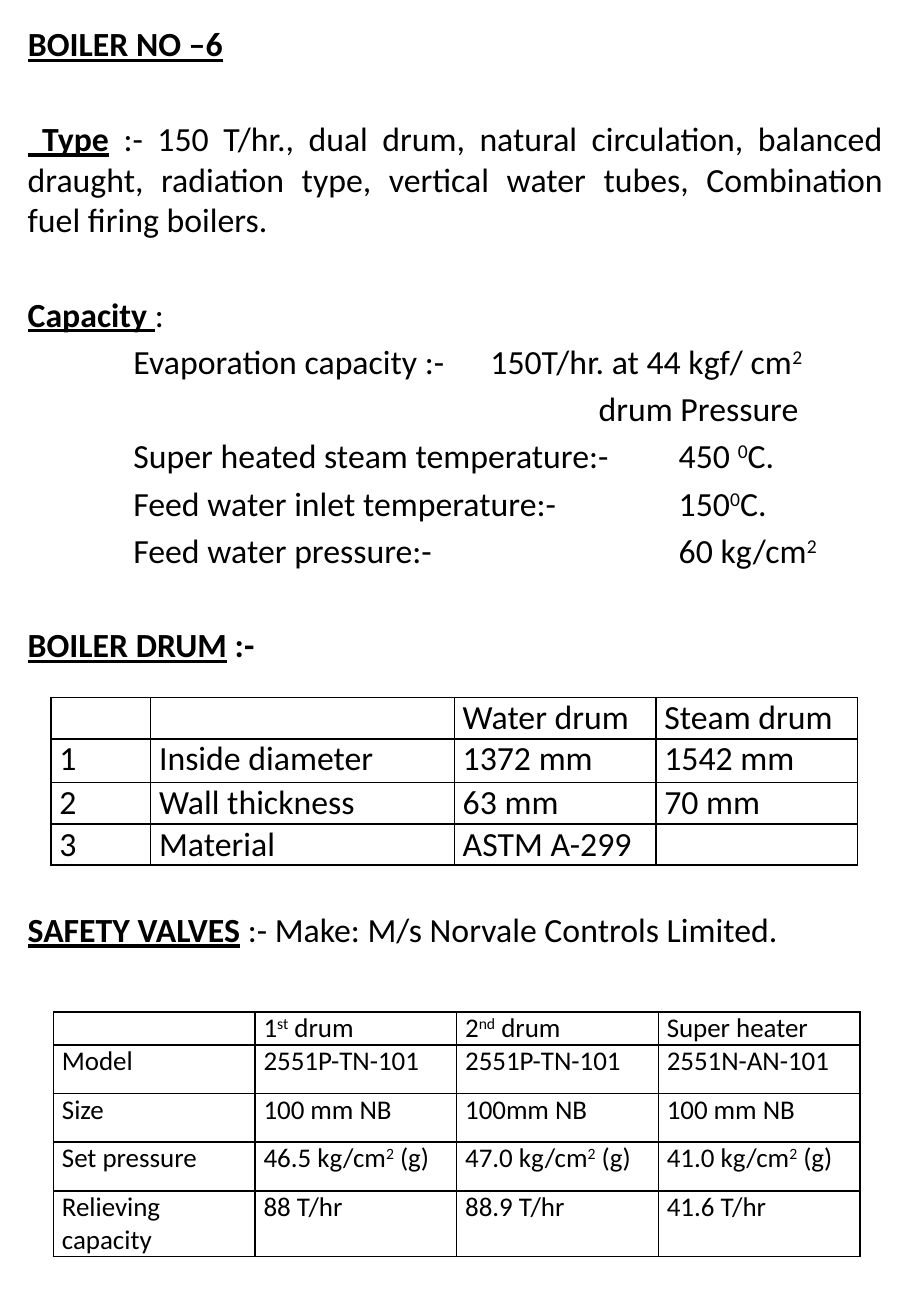
from lxml import etree
from pptx import Presentation
from pptx.dml.color import RGBColor
from pptx.enum.text import MSO_ANCHOR as Anchor, MSO_AUTO_SIZE as AutoSize, PP_ALIGN as Align
from pptx.oxml.ns import qn
from pptx.util import Inches, Pt

FONT = "Calibri"
BLACK = "000000"
BODY_SIZE = 20
LINE_GAP = 4
SECTION_GAP = 32
TEXT_LEFT, TEXT_WIDTH = 0.13, 7.24
LABEL_TAB = 0.87
VALUE_TAB = 5.36

CAPACITY_LINES = [
    ("\tEvaporation capacity :-\t150T/hr. at 44 kgf/ cm^2^", [LABEL_TAB, 3.81]),
    ("\tdrum Pressure", [4.7]),
    ("\tSuper heated steam temperature:-\t450 ^0^C.", [LABEL_TAB, VALUE_TAB]),
    ("\tFeed water inlet temperature:-\t150^0^C.", [LABEL_TAB, VALUE_TAB]),
    ("\tFeed water pressure:-\t60 kg/cm^2^", [LABEL_TAB, VALUE_TAB]),
]

DRUM_ROWS = [
    ["", "", "Water drum", "Steam drum"],
    ["1", "Inside diameter", "1372 mm", "1542 mm"],
    ["2", "Wall thickness", "63 mm", "70 mm"],
    ["3", "Material", "ASTM A-299", ""],
]

VALVE_ROWS = [
    ["", "1^st^ drum", "2^nd^ drum", "Super heater"],
    ["Model", "2551P-TN-101", "2551P-TN-101", "2551N-AN-101"],
    ["Size", "100 mm NB", "100mm NB", "100 mm NB"],
    ["Set pressure", "46.5 kg/cm^2^ (g)", "47.0 kg/cm^2^ (g)", "41.0 kg/cm^2^ (g)"],
    ["Relieving capacity", "88 T/hr", "88.9 T/hr", "41.6 T/hr"],
]


def rgb(value):
    return RGBColor.from_string(value)


def format_font(font, size, bold=False, underline=False):
    font.name = FONT
    font.size = Pt(size)
    font.color.rgb = rgb(BLACK)
    font.bold = bold
    font.underline = underline


def write_text(paragraph, text, size, bold=False):
    """Add runs to the paragraph; parts between ^ marks are superscript."""
    for number, part in enumerate(text.split("^")):
        if part:
            run = paragraph.add_run()
            run.text = part
            format_font(run.font, size, bold)
            if number % 2:
                run.font._element.set("baseline", "30000")


def set_tabs(paragraph, positions):
    tab_list = etree.SubElement(paragraph._p.get_or_add_pPr(), qn("a:tabLst"))
    for position in positions:
        etree.SubElement(tab_list, qn("a:tab"), pos=str(Inches(position)), algn="l")


def add_line(text_frame, text, heading="", gap=LINE_GAP, tabs=(), bold=False):
    """Add one justified paragraph, opened by an underlined heading if given."""
    paragraph = text_frame.paragraphs[0]
    if paragraph.runs:
        paragraph = text_frame.add_paragraph()
        paragraph.space_before = Pt(gap)
    paragraph.alignment = Align.JUSTIFY
    if tabs:
        set_tabs(paragraph, tabs)
    if heading:
        run = paragraph.add_run()
        run.text = heading
        format_font(run.font, BODY_SIZE, bold=True, underline=True)
    write_text(paragraph, text, BODY_SIZE, bold)


def add_text_box(slide, top, height):
    box = slide.shapes.add_textbox(
        Inches(TEXT_LEFT), Inches(top), Inches(TEXT_WIDTH), Inches(height))
    box.text_frame.word_wrap = True
    return box.text_frame


def set_title(slide, text):
    title = slide.shapes.title
    title.left, title.top = Inches(TEXT_LEFT), Inches(0.14)
    title.width, title.height = Inches(TEXT_WIDTH), Inches(0.44)
    text_frame = title.text_frame
    text_frame.text = text
    text_frame.word_wrap = True
    text_frame.auto_size = AutoSize.NONE
    text_frame.vertical_anchor = Anchor.TOP
    paragraph = text_frame.paragraphs[0]
    paragraph.alignment = Align.JUSTIFY
    format_font(paragraph.runs[0].font, BODY_SIZE, bold=True, underline=True)


def set_borders(cell):
    properties = cell._tc.get_or_add_tcPr()
    for index, side in enumerate(("lnL", "lnR", "lnT", "lnB")):
        line = etree.Element(qn(f"a:{side}"), w=str(Pt(1)))
        fill = etree.SubElement(line, qn("a:solidFill"))
        etree.SubElement(fill, qn("a:srgbClr"), val=BLACK)
        properties.insert(index, line)


def fill_cell(cell, text, size):
    cell.fill.background()
    set_borders(cell)
    cell.margin_left = cell.margin_right = Inches(0.07)
    cell.margin_top = cell.margin_bottom = 0
    cell.vertical_anchor = Anchor.TOP
    paragraph = cell.text_frame.paragraphs[0]
    paragraph.font.size = Pt(size)
    write_text(paragraph, text, size)


def add_grid(slide, left, top, widths, heights, rows, size):
    table = slide.shapes.add_table(
        len(rows), len(widths), Inches(left), Inches(top),
        Inches(sum(widths)), Inches(sum(heights))).table
    table.first_row = table.horz_banding = False
    for column, width in zip(table.columns, widths):
        column.width = Inches(width)
    for row, height, texts in zip(table.rows, heights, rows):
        row.height = Inches(height)
        for cell, text in zip(row.cells, texts):
            fill_cell(cell, text, size)


def main():
    presentation = Presentation()
    presentation.slide_width = Inches(7.5)
    presentation.slide_height = Inches(10.83)
    slide = presentation.slides.add_slide(presentation.slide_layouts[5])

    set_title(slide, "BOILER NO –6")

    details = add_text_box(slide, 0.92, 4.7)
    add_line(details, " :- 150 T/hr., dual drum, natural circulation, balanced draught, "
             "radiation type, vertical water tubes, Combination fuel firing boilers.",
             heading=" Type")
    add_line(details, ":", heading="Capacity ", gap=SECTION_GAP)
    for text, tabs in CAPACITY_LINES:
        add_line(details, text, tabs=tabs)
    add_line(details, " :-", heading="BOILER DRUM", gap=SECTION_GAP, bold=True)
    add_grid(slide, 0.42, 5.74, [0.82, 2.5, 1.66, 1.66], [0.34, 0.36, 0.34, 0.34],
             DRUM_ROWS, BODY_SIZE)

    valves = add_text_box(slide, 7.43, 0.44)
    add_line(valves, " :- Make: M/s Norvale Controls Limited.", heading="SAFETY VALVES")
    add_grid(slide, 0.44, 8.33, [1.66] * 4, [0.27, 0.4, 0.4, 0.4, 0.54], VALVE_ROWS, 16)

    presentation.save("out.pptx")


if __name__ == "__main__":
    main()
